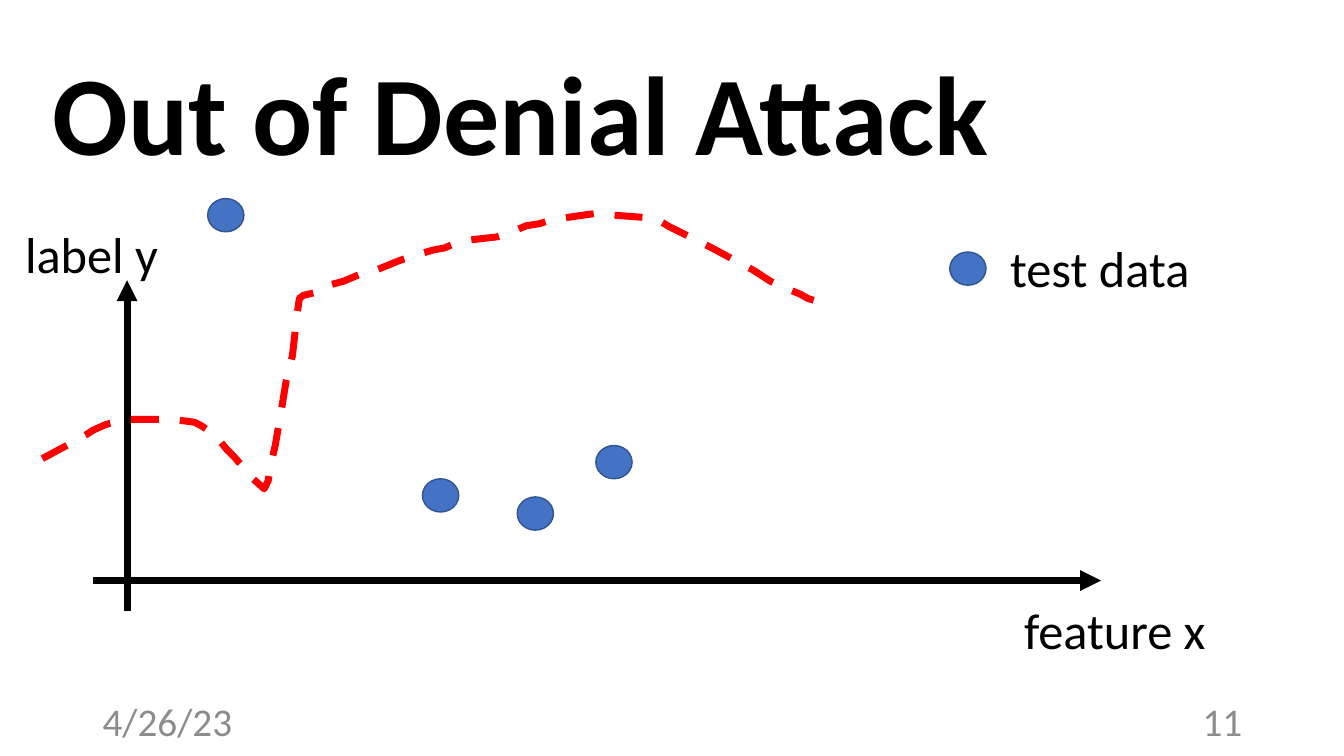
from lxml import etree
from pptx import Presentation
from pptx.dml.color import RGBColor
from pptx.enum.dml import MSO_LINE
from pptx.enum.shapes import MSO_CONNECTOR, MSO_SHAPE
from pptx.enum.text import MSO_ANCHOR, PP_ALIGN
from pptx.oxml.ns import qn
from pptx.util import Inches, Pt

# Grid: 1333 columns by 750 rows, all positions below count its cells
COLS, ROWS = 1333, 750
CELL = Inches(0.01)

# Content
TITLE = ("Out of Denial Attack", (42, 55, 1291, 127))
LABELS = [
    ("test data", (992, 230, 200, 71)),
    ("feature x", (1006, 589, 202, 71)),
    ("label y", (15, 216, 153, 71)),
]
FOOTERS = [
    ("4/26/23", (92, 695, 300, 40), PP_ALIGN.LEFT),
    ("11", (942, 695, 300, 40), PP_ALIGN.RIGHT),
]
AXES = [((92, 576), (1092, 576)), ((126, 606), (126, 278))]
DOT_SIZE = (36, 33)
DATA_DOTS = [(206, 197), (513, 493), (591, 442), (419, 475)]
LEGEND_DOT = (942, 250)
BOUNDARY = [
    (42, 455), (55, 448), (70, 440), (86, 431), (92, 427), (103, 422),
    (109, 420), (129, 416), (170, 416), (186, 418), (193, 419), (199, 422),
    (208, 428), (216, 435), (225, 446), (232, 453), (245, 468), (251, 475),
    (262, 485), (266, 477), (269, 459), (273, 442), (280, 401), (284, 377),
    (290, 353), (295, 309), (297, 296), (301, 293), (314, 290), (326, 283),
    (341, 279), (362, 270), (373, 268), (395, 259), (406, 255), (430, 248),
    (441, 246), (450, 242), (467, 238), (493, 235), (506, 231), (515, 227),
    (522, 224), (535, 222), (541, 220), (561, 216), (589, 212), (642, 216),
    (654, 219), (664, 225), (706, 246), (747, 268), (764, 279), (777, 285),
    (794, 292), (801, 296), (807, 298),
]


def color(hex_text):
    return RGBColor.from_string(hex_text)


def cells(*counts):
    return [CELL * count for count in counts]


def style_line(line, hex_text, width):
    line.color.rgb = color(hex_text)
    line.width = Pt(width)


def add_text(text, box, size=36, fill="000000", bold=False,
             align=PP_ALIGN.LEFT, anchor=MSO_ANCHOR.TOP, wrap=True, spacing=None):
    frame = slide.shapes.add_textbox(*cells(*box)).text_frame
    frame.word_wrap = wrap
    frame.vertical_anchor = anchor
    paragraph = frame.paragraphs[0]
    paragraph.alignment = align
    if spacing:
        paragraph.line_spacing = spacing
    run = paragraph.add_run()
    run.text = text
    run.font.name = "Calibri"
    run.font.size = Pt(size)
    run.font.bold = bold
    run.font.color.rgb = color(fill)


def add_axis(start, end):
    axis = slide.shapes.add_connector(MSO_CONNECTOR.STRAIGHT, *cells(*start, *end))
    style_line(axis.line, "000000", 5)
    etree.SubElement(axis.line._get_or_add_ln(), qn("a:tailEnd"), type="triangle")
    etree.SubElement(axis._element.spPr, qn("a:effectLst"))


def add_dot(corner):
    dot = slide.shapes.add_shape(MSO_SHAPE.OVAL, *cells(*corner, *DOT_SIZE))
    dot.shadow.inherit = False
    dot.fill.solid()
    dot.fill.fore_color.rgb = color("4472C4")
    style_line(dot.line, "325491", 1)


def add_boundary(points):
    outline = slide.shapes.build_freeform(*points[0], scale=CELL)
    outline.add_line_segments(points[1:], close=False)
    boundary = outline.convert_to_shape()
    boundary.shadow.inherit = False
    boundary.fill.background()
    style_line(boundary.line, "FF0000", 5)
    boundary.line.dash_style = MSO_LINE.DASH


deck = Presentation()
deck.slide_width, deck.slide_height = cells(COLS, ROWS)
slide = deck.slides.add_slide(deck.slide_layouts[6])

# Title and footer
for text, box, align in FOOTERS:
    add_text(text, box, size=28, fill="8C8C8C", align=align, anchor=MSO_ANCHOR.MIDDLE)
add_text(*TITLE, size=80, bold=True, anchor=MSO_ANCHOR.MIDDLE, spacing=0.9)

# Plot: axes, data points, legend point and decision boundary
for start, end in AXES:
    add_axis(start, end)
for corner in DATA_DOTS + [LEGEND_DOT]:
    add_dot(corner)
add_boundary(BOUNDARY)

# Axis and legend labels
for text, box in LABELS:
    add_text(text, box, wrap=False)

deck.save("out.pptx")
